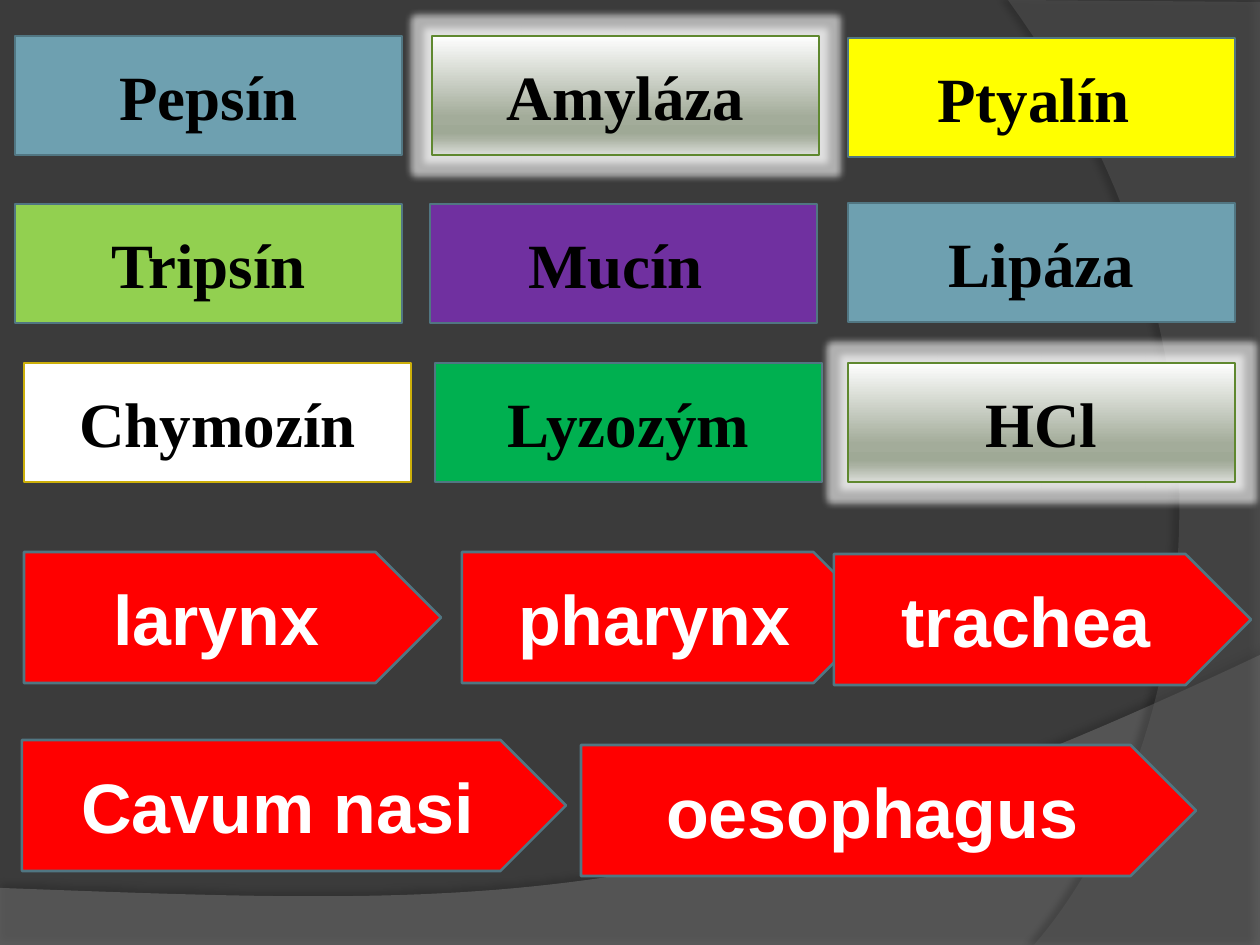
from dataclasses import dataclass

from lxml.etree import SubElement
from pptx import Presentation
from pptx.dml.color import RGBColor
from pptx.enum.shapes import MSO_SHAPE as Preset
from pptx.enum.text import MSO_ANCHOR as Anchor, PP_ALIGN as Align
from pptx.oxml.ns import qn
from pptx.util import Pt

EMU_PER_PX = 914400 / 126
SLIDE_BOX = (0, 0, 1260, 945)


@dataclass(frozen=True)
class Theme:
    background: str = "3B3B3B"
    lower_wave: str = "7F7F7F"
    right_wave: str = "5E5E5E"
    shadow: str = "000000"
    outline: str = "517682"
    gold_outline: str = "CCAF0A"
    green_outline: str = "5F882F"
    blue: str = "6EA0B0"
    yellow: str = "FFFF00"
    lime: str = "92D050"
    purple: str = "7030A0"
    white: str = "FFFFFF"
    green: str = "00B050"
    red: str = "FF0000"
    black: str = "000000"
    metal: tuple = ((0, "FEFEFE"), (68, "A3AC9A"), (81, "9FA996"),
                    (86, "A9B1A1"), (100, "DBDED9"))
    enzyme_font: str = "Times New Roman"
    enzyme_size: int = 36
    organ_font: str = "Arial"
    organ_size: int = 40


THEME = Theme()


def px(value):
    return round(value * EMU_PER_PX)


def color(value):
    return RGBColor.from_string(value)


def add_color(parent, value, alpha=100):
    element = SubElement(parent, qn("a:srgbClr"), val=value)
    if alpha < 100:
        SubElement(element, qn("a:alpha"), val=str(alpha * 1000))


def add_effect(shape, name, value, alpha, **attributes):
    effects = shape._element.spPr.find(qn("a:effectLst"))
    effect = SubElement(effects, qn(name), **attributes)
    add_color(effect, value, alpha)


def fill_metal(shape):
    shape.fill.gradient()
    shape.fill.gradient_angle = 270
    stops = shape._element.spPr.find(qn("a:gradFill")).find(qn("a:gsLst"))
    for stop in list(stops):
        stops.remove(stop)
    for position, value in THEME.metal:
        add_color(SubElement(stops, qn("a:gs"), pos=str(position * 1000)), value)


def add_label(slide, preset, box, text, fill, outline, font, size, text_color):
    shape = slide.shapes.add_shape(preset, *map(px, box))
    shape.shadow.inherit = False
    if fill == THEME.metal:
        fill_metal(shape)
        add_effect(shape, "a:glow", THEME.white, 60, rad=str(px(14)))
    else:
        shape.fill.solid()
        shape.fill.fore_color.rgb = color(fill)
    shape.line.color.rgb = color(outline)
    shape.line.width = Pt(0.75 if fill == THEME.metal else 1.5)
    frame = shape.text_frame
    frame.word_wrap = True
    frame.vertical_anchor = Anchor.MIDDLE
    paragraph = frame.paragraphs[0]
    paragraph.alignment = Align.CENTER
    run = paragraph.add_run()
    run.text = text
    run.font.name = font
    run.font.size = Pt(size)
    run.font.bold = True
    run.font.color.rgb = color(text_color)


def curve(start, first, second, end, steps=60):
    points = []
    for step in range(steps + 1):
        t = step / steps
        weights = ((1 - t) ** 3, 3 * t * (1 - t) ** 2, 3 * t * t * (1 - t), t ** 3)
        points.append(tuple(
            sum(weight * value for weight, value in zip(weights, axis))
            for axis in zip(start, first, second, end)))
    return points


def add_wave(slide, box, points, fill, alpha, shadow_alpha, distance, direction):
    left, top = box[:2]
    outline = [(px(left + x), px(top + y)) for x, y in points]
    builder = slide.shapes.build_freeform(*outline[0])
    builder.add_line_segments(outline[1:], close=True)
    shape = builder.convert_to_shape()
    shape.shadow.inherit = False
    shape.line.fill.background()
    shape.fill.solid()
    shape.fill.fore_color.rgb = color(fill)
    fill_color = shape._element.spPr.find(qn("a:solidFill"))[0]
    SubElement(fill_color, qn("a:alpha"), val=str(alpha * 1000))
    add_effect(shape, "a:outerShdw", THEME.shadow, shadow_alpha,
               blurRad=str(Pt(4)), dist=str(Pt(distance)),
               dir=str(direction * 60000), algn="ctr", rotWithShape="0")


def add_backdrop(slide, box):
    width, height = box[2:]
    slide.background.fill.solid()
    slide.background.fill.fore_color.rgb = color(THEME.background)
    lower = [(0, height), (width, height)]
    lower += curve((width, 655), (704, 919), (493, 906), (0, 888))
    add_wave(slide, box, lower, THEME.lower_wave, 45, 35, 3.5, 270)
    right = [(width, 2), (width, height)]
    right += curve((1034, height), (1178, 780), (1283, 378), (1008, 0))
    add_wave(slide, box, right, THEME.right_wave, 40, 45, 4, 180)


def add_enzymes(slide, box):
    left, top = box[:2]
    enzymes = (
        (0, 0, "Pepsín", THEME.blue, THEME.outline),
        (417, 0, "Amyláza", THEME.metal, THEME.green_outline),
        (833, 2, "Ptyalín ", THEME.yellow, THEME.outline),
        (0, 168, "Tripsín", THEME.lime, THEME.outline),
        (415, 168, "Mucín ", THEME.purple, THEME.outline),
        (833, 167, "Lipáza", THEME.blue, THEME.outline),
        (9, 327, "Chymozín", THEME.white, THEME.gold_outline),
        (420, 327, "Lyzozým", THEME.green, THEME.outline),
        (833, 327, "HCl", THEME.metal, THEME.green_outline),
    )
    for x, y, text, fill, outline in enzymes:
        add_label(slide, Preset.RECTANGLE, (left + x, top + y, 387, 119), text,
                  fill, outline, THEME.enzyme_font, THEME.enzyme_size, THEME.black)


def add_organs(slide, box):
    left, top = box[:2]
    organs = (
        (2, 0, 417, "larynx"),
        (440, 0, 417, "pharynx"),
        (0, 188, 544, "Cavum nasi"),
        (559, 193, 615, "oesophagus"),
        (812, 2, 417, "trachea"),
    )
    for x, y, width, text in organs:
        add_label(slide, Preset.PENTAGON, (left + x, top + y, width, 131), text,
                  THEME.red, THEME.outline, THEME.organ_font, THEME.organ_size,
                  THEME.white)


def main():
    presentation = Presentation()
    presentation.slide_width, presentation.slide_height = map(px, SLIDE_BOX[2:])
    slide = presentation.slides.add_slide(presentation.slide_layouts[6])
    add_backdrop(slide, SLIDE_BOX)
    add_enzymes(slide, (15, 36, 1220, 446))
    add_organs(slide, (22, 552, 1229, 324))
    presentation.save("out.pptx")


if __name__ == "__main__":
    main()
